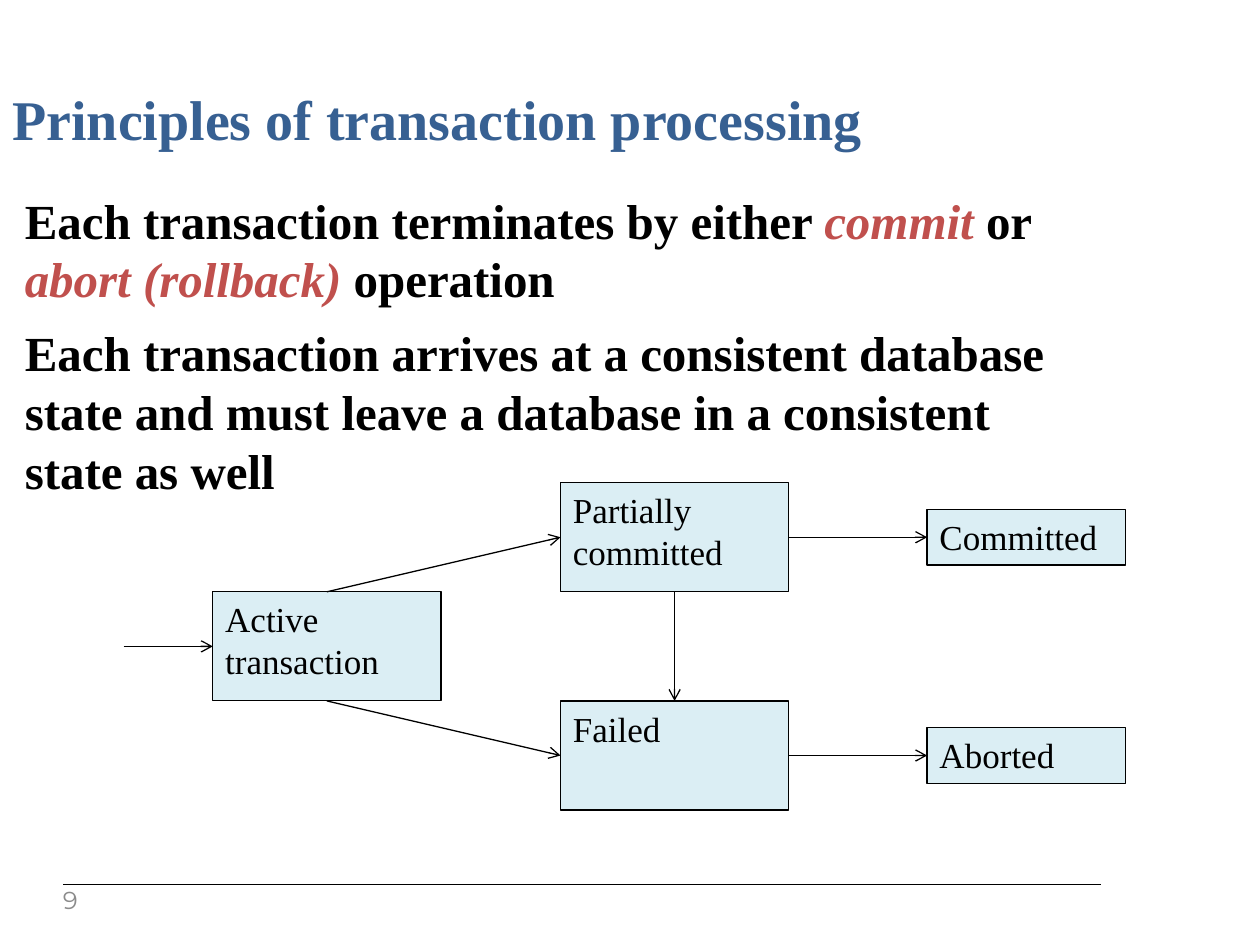
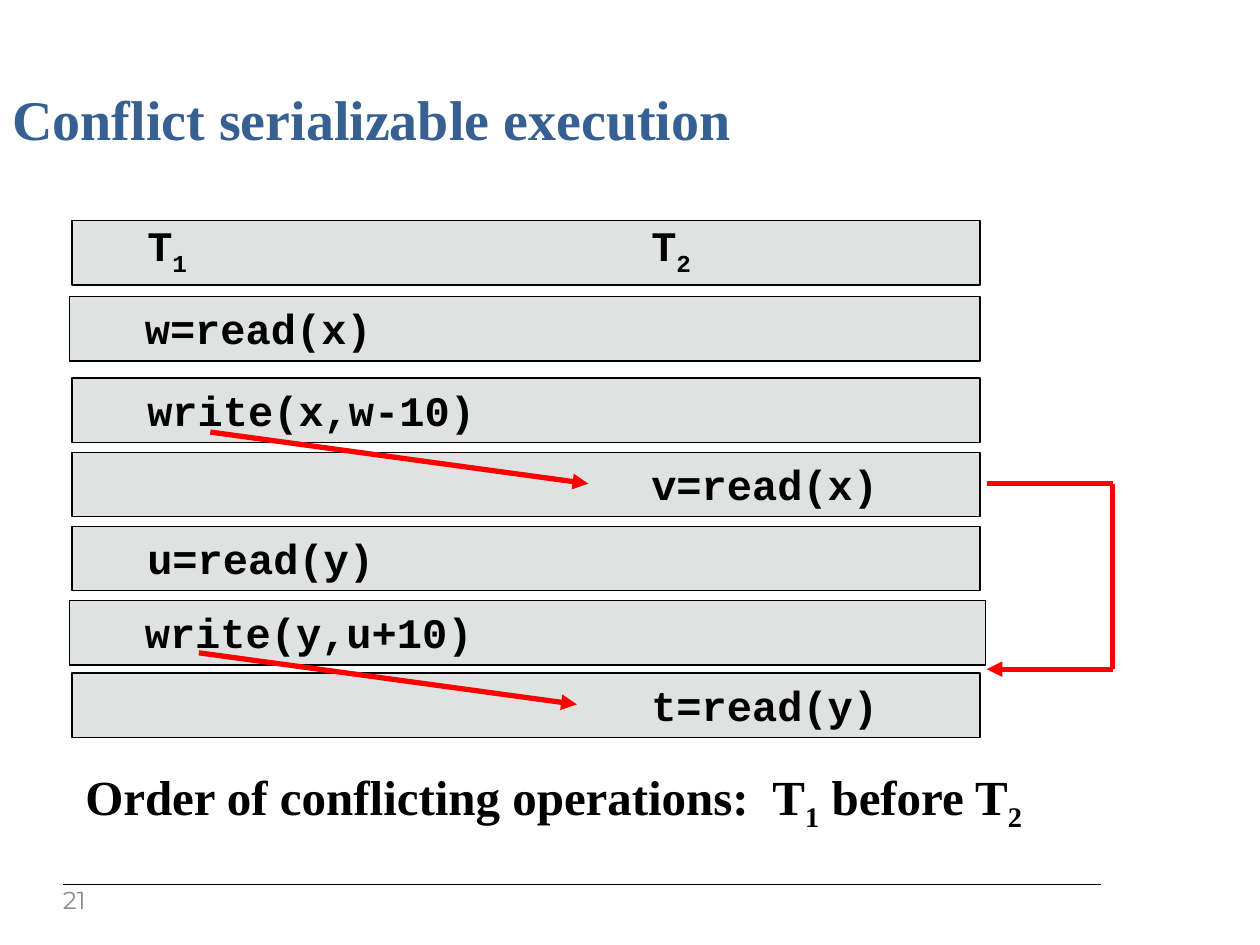
from pptx import Presentation
from pptx import util as u
from pptx.dml.color import RGBColor
from pptx.enum import shapes, text
from pptx.oxml import ns, xmlchemy

Cm, Pt = u.Cm, u.Pt
hues = {"ink": "000000", "title": "376092", "key": "C0504D", "state": "DBEEF4",
        "row": "E0E2E2", "flow": "FF0000", "page": "8B8B8B"}
serif, mono = "Times New Roman", "Courier New"
head = {"name": serif, "size": Pt(32), "bold": True, "hue": "title"}
body = {"name": serif, "size": Pt(28), "bold": True, "hue": "ink"}
node = {"name": serif, "size": Pt(20), "hue": "ink"}
code = {"name": mono, "size": Pt(24), "bold": True, "hue": "ink"}
foot = {"name": "Montserrat", "size": Pt(14), "hue": "page"}
key = {"italic": True, "hue": "key"}
sub = {"base": "-25000"}
thin = {"hue": "ink", "width": Pt(0.75)}
bold = {"hue": "flow", "width": Pt(3)}


def put(page, place, lines, look, fill=None):
    spot = [Cm(v) for v in place]
    if fill:
        box = page.shapes.add_shape(shapes.MSO_SHAPE.RECTANGLE, *spot)
        box.shadow.inherit = False
        box.fill.solid()
        box.fill.fore_color.rgb = RGBColor.from_string(hues[fill])
        box.line.color.rgb = RGBColor.from_string(hues["ink"])
        box.line.width = Pt(0.75)
    else:
        box = page.shapes.add_textbox(*spot)
    frame = box.text_frame
    frame.word_wrap = True
    frame.vertical_anchor = text.MSO_ANCHOR.TOP
    for i, line in enumerate(lines):
        para = frame.paragraphs[0] if i == 0 else frame.add_paragraph()
        para.alignment = text.PP_ALIGN.LEFT
        para.line_spacing = Pt(round(look["size"].pt * 1.2, 1))
        for words, extra in line:
            run = para.add_run()
            run.text = words
            for name, value in {**look, **extra}.items():
                if name == "hue":
                    run.font.color.rgb = RGBColor.from_string(hues[value])
                elif name == "base":
                    run.font._element.set("baseline", value)
                else:
                    setattr(run.font, name, value)
    return box


def link(page, ends, look, tip=None):
    line = page.shapes.add_connector(shapes.MSO_CONNECTOR.STRAIGHT, *[Cm(v) for v in ends])
    line.line.color.rgb = RGBColor.from_string(hues[look["hue"]])
    line.line.width = look["width"]
    if tip:
        end = xmlchemy.OxmlElement("a:tailEnd")
        end.set("type", tip)
        line.line._get_or_add_ln().append(end)
    line._element.spPr.append(xmlchemy.OxmlElement("a:effectLst"))
    return line


deck = Presentation()
deck.slide_width, deck.slide_height = Cm(25.4), Cm(19.05)
pages = []
for title, num in [("Principles of transaction processing", "9"),
                   ("Conflict serializable execution", "21")]:
    page = deck.slides.add_slide(deck.slide_layouts[6])
    link(page, (1.27, 17.83, 22.2, 17.83), thin)
    put(page, (0, 1.57, 25.4, 1.7), [[(title, {})]], head)
    frame = put(page, (1.27, 17.93, 1.02, 0.53), [[(num, {})]], foot).text_frame
    for name, value in {"margin_left": 0, "margin_top": 0,
                        "vertical_anchor": text.MSO_ANCHOR.MIDDLE}.items():
        setattr(frame, name, value)
    pages.append(page)

page = pages[0]
put(page, (0.25, 3.71, 25.15, 2.62), [
    [("Each transaction terminates by either ", {}), ("commit ", key), ("or", {})],
    [("abort (rollback) ", key), ("operation", {})]], body)
put(page, (0.25, 6.38, 25.15, 3.81), [
    [("Each transaction arrives at a consistent database", {})],
    [("state and must leave a database in a consistent", {})],
    [("state as well", {})]], body)

wide, tall, top = 4.6, 2.2, 9.73
states = {}
for name, left, row, w, h in [
        ("Active transaction", 4.29, 1, wide, tall),
        ("Partially committed", 11.3, 0, wide, tall),
        ("Failed", 11.3, 2, wide, tall),
        ("Committed", 18.69, 0, 4, 1.12),
        ("Aborted", 18.69, 2, 4, 1.12)]:
    y = top + row * tall + (tall - h) / 2
    states[name.split()[0]] = put(page, (left, y, w, h), [[(name, {})]], node, "state")

entry = link(page, (2.49, top + 1.5 * tall, 4.29, top + 1.5 * tall), thin, "arrow")
entry.end_connect(states["Active"], 1)
for start, out, stop, into in [
        ("Active", 0, "Partially", 1), ("Active", 2, "Failed", 1),
        ("Partially", 3, "Committed", 1), ("Failed", 3, "Aborted", 1),
        ("Partially", 2, "Failed", 0)]:
    arrow = link(page, (0, 0, 1, 1), thin, "arrow")
    arrow.begin_connect(states[start], out)
    arrow.end_connect(states[stop], into)

page = pages[1]
for ends, tip in [((19.89, 9.75, 22.43, 9.75), None),
                  ((22.43, 9.75, 22.43, 13.49), None),
                  ((22.43, 13.49, 19.89, 13.49), "triangle")]:
    link(page, ends, bold, tip)

for left, y, w, line in [
        (1.45, 4.45, 18.31, [("T", {}), ("1", sub), ("\tT", {}), ("2", sub)]),
        (1.4, 5.98, 18.36, [("w=read(x)", {})]),
        (1.45, 7.62, 18.31, [("write(x,w-10)", {})]),
        (1.45, 9.12, 18.31, [("\tv=read(x)", {})]),
        (1.45, 10.61, 18.31, [("u=read(y)", {})]),
        (1.4, 12.11, 18.47, [("write(y,u+10)", {})]),
        (1.45, 13.57, 18.31, [("\tt=read(y)", {})])]:
    frame = put(page, (left, y, w, 1.3), [line], code, "row").text_frame
    frame.margin_left = Cm(1.52)
    tabs = xmlchemy.OxmlElement("a:tabLst")
    stop = xmlchemy.OxmlElement("a:tab")
    stop.set("pos", str(Cm(10.16)))
    stop.set("algn", "l")
    tabs.append(stop)
    frame.paragraphs[0]._p.find(ns.qn("a:pPr")).append(tabs)

for x, y in [(4.24, 8.71), (4.01, 13.16)]:
    link(page, (x, y, x + 7.62, y + 1.04), bold, "triangle")
put(page, (1.47, 15.49, 19.69, 1.45), [
    [("Order of conflicting operations:  T", {}), ("1", sub),
     (" before T", {}), ("2", sub)]], body)

deck.save("out.pptx")
